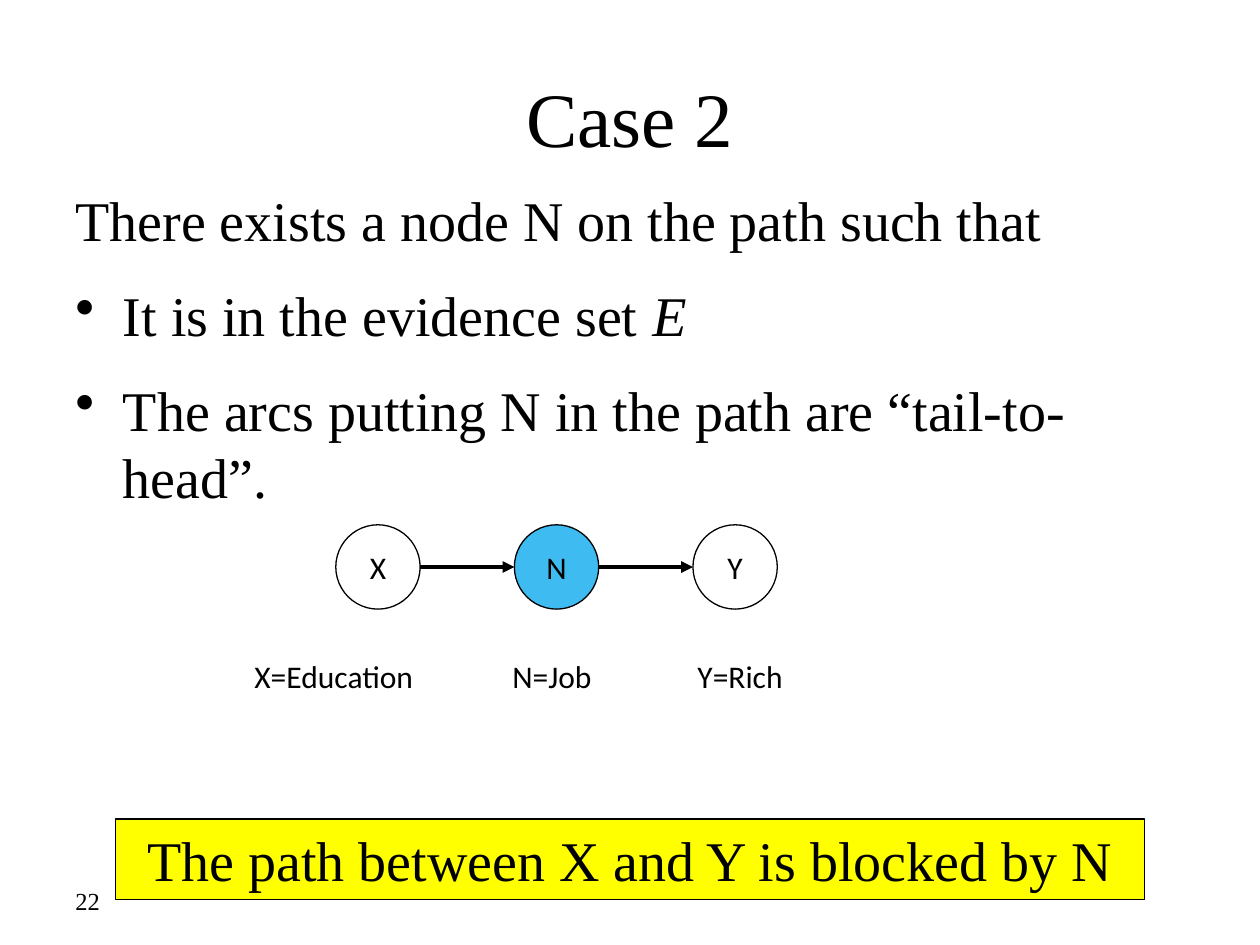
import pptx
import pptx.dml.color
import pptx.enum.shapes
import pptx.enum.text
import pptx.oxml
import pptx.oxml.ns
import pptx.util
from pptx.util import Cm

BLACK = pptx.dml.color.RGBColor(0x00, 0x00, 0x00)
BLUE = pptx.dml.color.RGBColor(0x3E, 0xBB, 0xF0)
YELLOW = pptx.dml.color.RGBColor(0xFF, 0xFF, 0x00)
SERIF, SANS = "Times New Roman", "Calibri"
CENTER = pptx.enum.text.PP_ALIGN.CENTER
MIDDLE = pptx.enum.text.MSO_ANCHOR.MIDDLE
SHAPE = pptx.enum.shapes.MSO_SHAPE


def add_run(p, text, font, size, italic=False):
    r = p.add_run()
    r.text = text
    style = {"name": font, "size": pptx.util.Pt(size), "italic": italic}
    for name, value in style.items():
        setattr(r.font, name, value)
    r.font.color.rgb = BLACK


def add_xml(parent, xml):
    ns = pptx.oxml.ns.nsdecls("a")
    parent.append(pptx.oxml.parse_xml(xml.replace("/>", f" {ns}/>", 1)
                                      if xml.count("<") == 1
                                      else xml.replace(">", f" {ns}>", 1)))


prs = pptx.Presentation()
prs.slide_width, prs.slide_height = Cm(25.4), Cm(19.05)
s = prs.slides.add_slide(prs.slide_layouts[5])

# Slide number
sp = s.shapes.add_textbox(Cm(1.27), Cm(17.65), Cm(5.93), Cm(1.02))
sp.text_frame.vertical_anchor = MIDDLE
add_run(sp.text_frame.paragraphs[0], "22", SERIF, 14)

# Title
sp = s.shapes.title
place = {"left": Cm(1.27), "top": Cm(0.76), "width": Cm(22.86), "height": Cm(3.18)}
for name, value in place.items():
    setattr(sp, name, value)
sp.text_frame.vertical_anchor = MIDDLE
p = sp.text_frame.paragraphs[0]
p.alignment = CENTER
add_run(p, "Case 2", SERIF, 44)

# Conditions: an opening line and two bullets, as (text, italic) runs
conditions = [
    [("There exists a node N on the path such that", False)],
    [("It is in the evidence set ", False), ("E", True)],
    [("The arcs putting N in the path are “tail-to-head”.", False)],
]
sp = s.shapes.add_textbox(Cm(1.27), Cm(3.61), Cm(22.02), Cm(7.04))
tf = sp.text_frame
tf.word_wrap = True
for i, runs in enumerate(conditions):
    p = tf.paragraphs[0] if i == 0 else tf.add_paragraph()
    pPr = p._p.get_or_add_pPr()
    pPr.set("marL", str(Cm(0.96)))
    pPr.set("indent", str(-Cm(0.96)))
    if i > 0:
        p.space_before = pptx.util.Pt(16)
        add_xml(pPr, '<a:buChar char="•"/>')
    for text, italic in runs:
        add_run(p, text, SERIF, 32, italic)

# Chain of nodes
node_left, node_top, node_size, node_pitch = 6.77, 10.58, 1.7, 3.6
nodes = [("X", None), ("N", BLUE), ("Y", None)]
for i, (label, fill) in enumerate(nodes):
    sp = s.shapes.add_shape(SHAPE.OVAL, Cm(node_left + i * node_pitch), Cm(node_top),
                            Cm(node_size), Cm(node_size))
    sp.shadow.inherit = False
    if fill is None:
        sp.fill.background()
    else:
        sp.fill.solid()
        sp.fill.fore_color.rgb = fill
    sp.line.color.rgb = BLACK
    sp.line.width = pptx.util.Pt(0.75)
    tf = sp.text_frame
    tf.word_wrap = False
    tf.vertical_anchor = MIDDLE
    p = tf.paragraphs[0]
    p.alignment = CENTER
    add_run(p, label, SANS, 18)

# Arrows between neighbouring nodes
arrow_y = Cm(node_top + node_size / 2)
for i in range(len(nodes) - 1):
    left = node_left + i * node_pitch
    arrow = s.shapes.add_connector(pptx.enum.shapes.MSO_CONNECTOR.STRAIGHT,
                                   Cm(left + node_size), arrow_y,
                                   Cm(left + node_pitch), arrow_y)
    arrow.line.color.rgb = BLACK
    arrow.line.width = pptx.util.Pt(2.25)
    add_xml(arrow.line._get_or_add_ln(), '<a:tailEnd type="triangle"/>')
    add_xml(arrow._element.spPr, "<a:effectLst/>")

# Conclusion banner
sp = s.shapes.add_shape(SHAPE.RECTANGLE, Cm(2.33), Cm(16.51), Cm(20.75), Cm(1.63))
sp.shadow.inherit = False
sp.fill.solid()
sp.fill.fore_color.rgb = YELLOW
sp.line.color.rgb = BLACK
sp.line.width = pptx.util.Pt(0.75)
tf = sp.text_frame
tf.word_wrap = True
tf.vertical_anchor = pptx.enum.text.MSO_ANCHOR.TOP
p = tf.paragraphs[0]
p.alignment = CENTER
add_run(p, "The path between X and Y is blocked by N", SERIF, 32)

# Meanings of the nodes, spaced by tab stops
sp = s.shapes.add_textbox(Cm(4.88), Cm(13.13), Cm(13.97), Cm(1.02))
sp.text_frame.word_wrap = True
p = sp.text_frame.paragraphs[0]
stops = "".join(f'<a:tab pos="{Cm(x)}" algn="l"/>' for x in (5.2, 8.93))
add_xml(p._p.get_or_add_pPr(), f"<a:tabLst>{stops}</a:tabLst>")
add_run(p, "X=Education\tN=Job\tY=Rich", SANS, 18)

prs.save("out.pptx")
